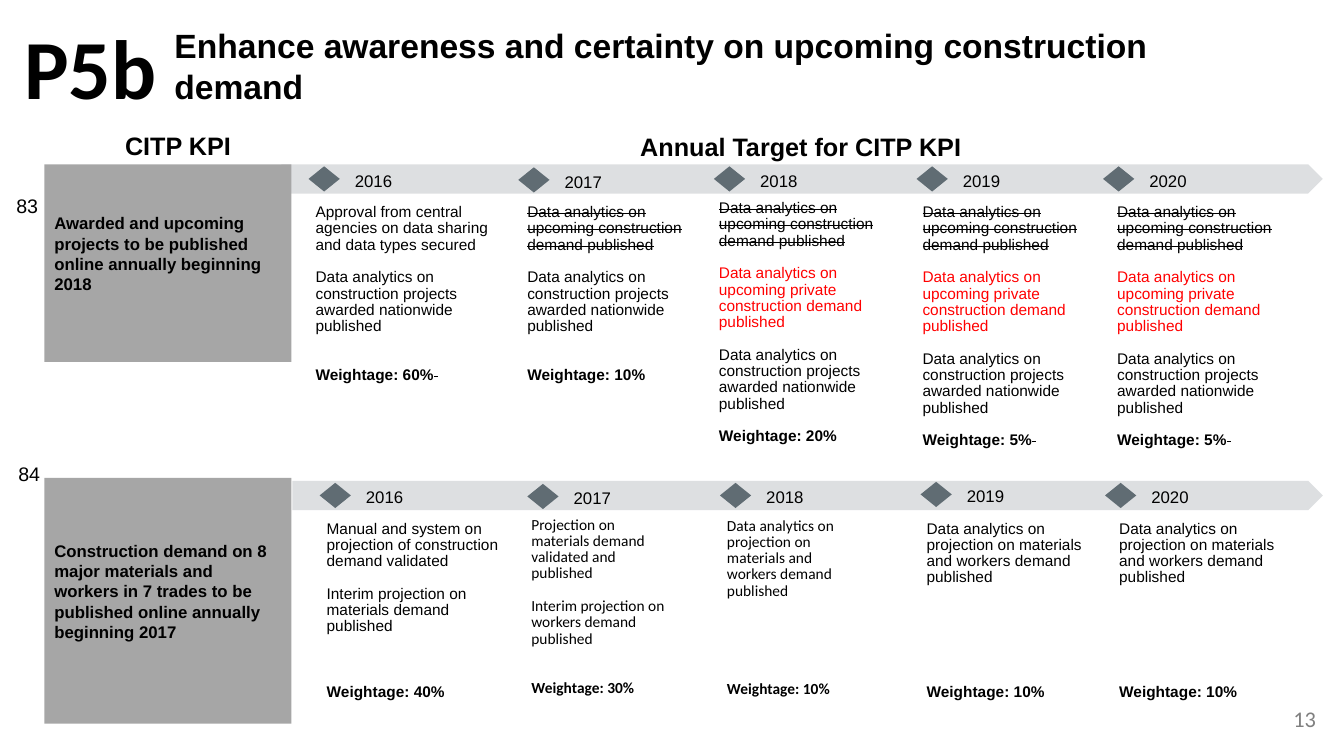
from lxml.etree import SubElement
from pptx import Presentation
from pptx.dml.color import RGBColor
from pptx.enum.shapes import MSO_SHAPE as Shape
from pptx.enum.text import MSO_ANCHOR as Anchor, PP_ALIGN as Align
from pptx.oxml.ns import qn
from pptx.util import Inches, Pt

COLORS = {"ink": "000000", "slate": "606C73", "panel": "A6A6A6",
          "new": "FF0000", "page": "808080"}
BLANK_LINE = 11.7

DROPPED = ("Data analytics on upcoming construction demand published", 0, "dropped")
PRIVATE = ("Data analytics on upcoming private construction demand published", 1, "new")
AWARDED = ("Data analytics on construction projects awarded nationwide published", 1, "")
WORKERS = "Data analytics on projection on materials and workers demand published"


def weightage(percent, gap, style="bold"):
    """Describe the closing weightage line of a target."""
    return (f"Weightage: {percent}%", gap, style)


AWARDED_TARGETS = [
    (2016, 3.06, 1.65, 3.11, 1.99, 1.95, "Arial",
     [("Approval from central agencies on data sharing and data types secured", 0, ""),
      AWARDED, weightage(60, 2, "bold tail")]),
    (2017, 5.14, 1.66, 5.21, 1.99, 1.76, "Arial", [DROPPED, AWARDED, weightage(10, 2)]),
    (2018, 7.08, 1.65, 7.11, 1.95, 1.88, "Arial",
     [DROPPED, PRIVATE, AWARDED, weightage(20, 1)]),
    (2019, 9.09, 1.65, 9.13, 1.99, 1.76, "Arial",
     [DROPPED, PRIVATE, AWARDED, weightage(5, 1, "bold tail")]),
    (2020, 10.94, 1.65, 11.06, 1.99, 1.76, "Arial",
     [DROPPED, PRIVATE, AWARDED, weightage(5, 1, "bold tail")]),
]
DEMAND_TARGETS = [
    (2016, 3.17, 4.79, 3.22, 5.13, 1.93, "Arial",
     [("Manual and system on projection of construction demand validated", 0, ""),
      ("Interim projection on materials demand published", 1, ""), weightage(40, 3)]),
    (2017, 5.23, 4.8, 5.25, 5.09, 1.39, "Calibri",
     [("Projection on materials demand validated and published", 0, ""),
      ("Interim projection on workers demand published", 1, ""), weightage(30, 2)]),
    (2018, 7.14, 4.79, 7.19, 5.1, 1.4, "Calibri", [(WORKERS, 0, ""), weightage(10, 5)]),
    (2019, 9.13, 4.78, 9.17, 5.13, 1.74, "Arial", [(WORKERS, 0, ""), weightage(10, 6)]),
    (2020, 10.96, 4.79, 11.08, 5.13, 1.74, "Arial", [(WORKERS, 0, ""), weightage(10, 6)]),
]


def add_text(paragraph, text, size=12, font="Arial", color="ink", bold=False, strike=False):
    """Append a formatted run to a paragraph."""
    run = paragraph.add_run()
    run.text = text
    run.font.size = Pt(size)
    run.font.name = font
    run.font.bold = bold
    run.font.color.rgb = RGBColor.from_string(COLORS[color])
    if strike:
        run.font._element.set("strike", "sngStrike")


def set_frame(frame, insets, anchor=Anchor.TOP, wrap=True):
    """Set the margins, anchor and wrapping of a text frame."""
    frame.word_wrap = wrap
    frame.vertical_anchor = anchor
    (frame.margin_left, frame.margin_top,
     frame.margin_right, frame.margin_bottom) = map(Inches, insets)


def add_label(slide, box, text, insets=(0, 0.05, 0, 0.05), anchor=Anchor.TOP,
              align=Align.LEFT, wrap=True, **style):
    """Add a one-paragraph text box."""
    frame = slide.shapes.add_textbox(*map(Inches, box)).text_frame
    set_frame(frame, insets, anchor, wrap)
    frame.paragraphs[0].alignment = align
    add_text(frame.paragraphs[0], text, **style)


def add_block(slide, kind, box, color, opacity=100):
    """Add a filled shape without outline."""
    block = slide.shapes.add_shape(kind, *map(Inches, box))
    block.shadow.inherit = False
    block.line.fill.background()
    block.fill.solid()
    block.fill.fore_color.rgb = RGBColor.from_string(COLORS[color])
    if opacity < 100:
        tint = block.fill._xPr.find(".//" + qn("a:srgbClr"))
        SubElement(tint, qn("a:alpha")).set("val", str(opacity * 1000))
    return block


def add_kpi(slide, top, height, text):
    """Add the grey panel that names a KPI."""
    panel = add_block(slide, Shape.RECTANGLE, (0.44, top, 2.45, height), "panel")
    set_frame(panel.text_frame, (0.1, 0.1, 0.1, 0.29), Anchor.MIDDLE)
    panel.text_frame.paragraphs[0].alignment = Align.LEFT
    add_text(panel.text_frame.paragraphs[0], text, bold=True)


def add_milestone(slide, year, left, top):
    """Add a diamond with its year."""
    add_block(slide, Shape.DIAMOND, (left, top, 0.31, 0.25), "slate")
    add_label(slide, (left + 0.31, top + 0.02, 0.67, 0.24), str(year),
              insets=(0.02,) * 4, align=Align.CENTER)


def add_target(slide, box, font, items):
    """Add the target text of one year."""
    frame = slide.shapes.add_textbox(*map(Inches, box)).text_frame
    set_frame(frame, (0.02, 0.04, 0.02, 0.04))
    for index, (text, gap, style) in enumerate(items):
        paragraph = frame.add_paragraph() if index else frame.paragraphs[0]
        paragraph.line_spacing = 0.88
        paragraph.space_before = Pt(gap * BLANK_LINE)
        add_text(paragraph, text, size=11, font=font, bold="bold" in style,
                 color="new" if style == "new" else "ink", strike=style == "dropped")
        if "tail" in style:
            add_text(paragraph, " ", size=11, font=font, bold=True, strike=True)


def add_timeline(slide, bar, targets, height):
    """Add a timeline bar with its yearly targets."""
    add_block(slide, Shape.PENTAGON, bar, "slate", opacity=21)
    for year, mark_left, mark_top, left, top, width, font, items in targets:
        add_milestone(slide, year, mark_left, mark_top)
        add_target(slide, (left, top, width, height), font, items)


def main():
    """Build the KPI target slide."""
    deck = Presentation()
    deck.slide_width, deck.slide_height = Inches(13.33), Inches(7.5)
    slide = deck.slides.add_slide(deck.slide_layouts[6])

    add_timeline(slide, (2.79, 1.63, 10.33, 0.29), AWARDED_TARGETS, 2.69)
    add_label(slide, (1.73, 0.65, 9.68, 0.45),
              "Enhance awareness and certainty on upcoming construction demand",
              anchor=Anchor.BOTTOM, size=24, bold=True)
    add_label(slide, (0.14, 0.1, 1.53, 1.11), "P5b", insets=(0.1, 0.05, 0.1, 0.05),
              wrap=False, size=60, font="Calibri", bold=True)
    add_kpi(slide, 1.63, 1.96,
            "Awarded and upcoming projects to be published online annually beginning 2018")
    add_kpi(slide, 4.74, 2.44,
            "Construction demand on 8 major materials and workers in 7 trades "
            "to be published online annually beginning 2017")
    for number, box in (("83", (-0.03, 1.82, 0.6, 0.43)), ("84", (0.06, 4.48, 0.46, 0.43))):
        add_label(slide, box, number, insets=(0.1,) * 4, align=Align.CENTER, size=14)
    add_timeline(slide, (2.9, 4.77, 10.22, 0.29), DEMAND_TARGETS, 1.87)
    for heading, box in (("CITP KPI", (1.24, 1.25, 1.33, 0.39)),
                         ("Annual Target for CITP KPI", (6.35, 1.34, 3.4, 0.31))):
        add_label(slide, box, heading, anchor=Anchor.BOTTOM, size=18, bold=True)
    add_label(slide, (10.15, 6.95, 3, 0.4), "13", insets=(0.1, 0.05, 0.1, 0.05),
              align=Align.RIGHT, size=16, font="Calibri", color="page")
    deck.save("out.pptx")


if __name__ == "__main__":
    main()
